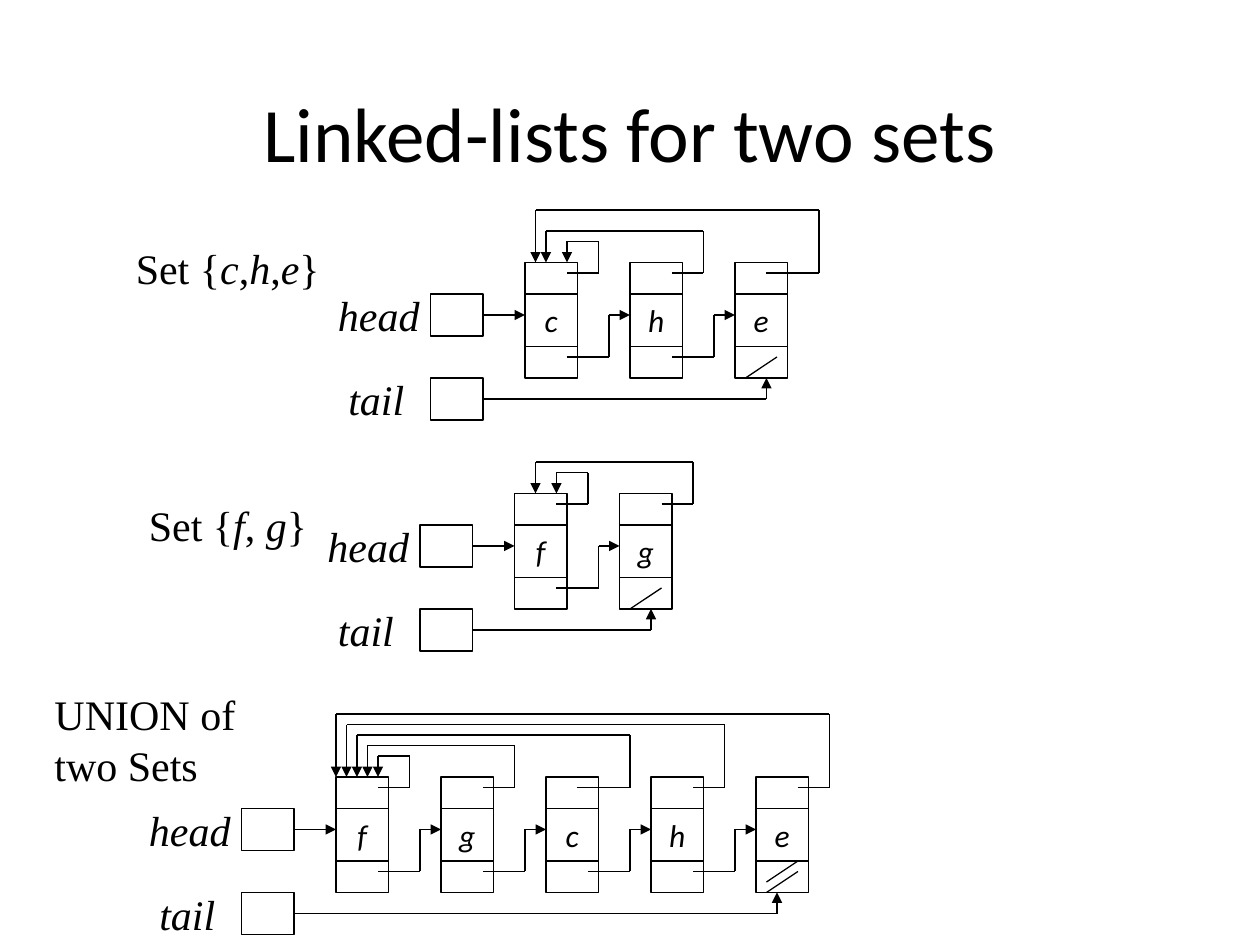
from itertools import pairwise
from pptx import Presentation
from pptx.dml.color import RGBColor
from pptx.enum.shapes import MSO_CONNECTOR as LINK, MSO_SHAPE as SHAPE
from pptx.enum.text import MSO_ANCHOR as ANCHOR, PP_ALIGN as ALIGN
from pptx.oxml.ns import qn
from pptx.util import Cm, Pt
from lxml.etree import SubElement as sub

BLACK = RGBColor(0, 0, 0)
SERIF, SANS = "Times New Roman", "Calibri"
UNIT = 2.54 / 12  # grid step in cm
WIDE, TALL, PITCH = 5, 11, 10  # node size and node spacing in grid steps

# Each list: left and top of its first node, tail arrow offset, slash heights,
# and per node: value, then start, right edge, rise and tip of its back link
LISTS = [
    (50, 25, 3, [11],
     [("c", 4, 7, 2, 4), ("h", 4, 7, 3, 2), ("e", 3, 8, 5, 1)]),
    (49, 47, 3, [11],
     [("f", 4, 7, 2, 4), ("g", 4, 7, 3, 2)]),
    (32, 74, 2, [10, 11],
     [("f", 4, 7, 2, 4), ("g", 4, 7, 3, 3), ("c", 3, 8, 4, 2),
      ("h", 4, 7, 5, 1), ("e", 4, 7, 6, 0)]),
]

# Labels: place, size, and lines whose runs alternate upright and italic
LABELS = [
    (11.75, 22.5, 20, 6, [["Set {", "c", ",", "h", ",", "e", "}"]]),
    (13, 47, 17.5, 6, [["Set {", "f", ", ", "g", "}"]]),
    (4, 65, 20.5, 11, [["UNION of"], ["two Sets"]]),
]


def grid(*steps):
    return [Cm(n * UNIT) for n in steps]


def style(para, size, face, slant=None):
    font = para.font
    font.size, font.name, font.italic = Pt(size), face, slant
    font.color.rgb = BLACK


def text(slide, x, y, w, h, lines, size=24, face=SERIF, wrap=False):
    frame = slide.shapes.add_textbox(*grid(x, y, w, h)).text_frame
    frame.word_wrap = wrap
    for i, line in enumerate(lines):
        para = frame.add_paragraph() if i else frame.paragraphs[0]
        style(para, size, face)
        for j, part in enumerate(line):
            run = para.add_run()
            run.text = part
            if j % 2:
                run.font.italic = True
    return frame


def word(slide, x, y, w, name):
    frame = text(slide, x, y, w, 6, [[name]])
    frame.paragraphs[0].font.italic = True


def box(slide, x, y, w, h, value=""):
    rect = slide.shapes.add_shape(SHAPE.RECTANGLE, *grid(x, y, w, h))
    rect.shadow.inherit = False
    rect.fill.background()
    rect.line.color.rgb = BLACK
    rect.line.width = Pt(0.75)
    if value:
        frame = rect.text_frame
        frame.word_wrap = False
        frame.vertical_anchor = ANCHOR.MIDDLE
        para = frame.paragraphs[0]
        para.text = value
        para.alignment = ALIGN.CENTER
        style(para, 18, SANS, True)


def wire(slide, *points, arrow=False):
    """Join the points with straight lines, the last one with an arrowhead."""
    for start, end in pairwise(points):
        line = slide.shapes.add_connector(
            LINK.STRAIGHT, *grid(*start, *end))
        line.line.color.rgb = BLACK
        line.line.width = Pt(0.75)
        props = line._element.spPr
        if arrow and end == points[-1]:
            sub(props.find(qn("a:ln")), qn("a:tailEnd"), type="triangle")
        sub(props, qn("a:effectLst"))


def node(slide, x, y, value):
    box(slide, x, y, WIDE, TALL, value)
    for row in (3, 8):
        wire(slide, (x, y + row), (x + WIDE, y + row))


def chain(slide, left, top, hit, cuts, nodes):
    last = left + PITCH * (len(nodes) - 1)

    # Head and tail pointers
    for name, dx, dy, w in (("head", 19, 2, 10.2), ("tail", 18, 10, 7.7)):
        word(slide, left - dx, top + dy, w, name)
        box(slide, left - 9, top + dy + 1, WIDE, 4)
    wire(slide, (left - 4, top + 5), (left, top + 5), arrow=True)
    wire(slide, (left - 4, top + 13), (last + hit, top + 13),
         (last + hit, top + TALL), arrow=True)

    # Nodes with their back links and next links
    for i, (value, start, right, rise, tip) in enumerate(nodes):
        x = left + PITCH * i
        node(slide, x, top, value)
        wire(slide, (x + start, top + 1), (x + right, top + 1),
             (x + right, top - rise), (left + tip, top - rise),
             (left + tip, top), arrow=True)
        if x < last:
            wire(slide, (x + 4, top + 9), (x + 8, top + 9),
                 (x + 8, top + 5), (x + PITCH, top + 5), arrow=True)

    # Slashes for the empty link
    for cut in cuts:
        wire(slide, (last + 1, top + cut), (last + 4, top + cut - 2))


def main():
    deck = Presentation()
    deck.slide_width, deck.slide_height = Cm(25.4), Cm(19.05)
    slide = deck.slides.add_slide(deck.slide_layouts[6])

    # Title
    title = text(slide, 9, 5, 102, 15, [["Linked-lists for two sets"]],
                 44, SANS, True)
    title.vertical_anchor = ANCHOR.MIDDLE
    title.paragraphs[0].alignment = ALIGN.CENTER

    # Labels and lists
    for label in LABELS:
        text(slide, *label)
    for item in LISTS:
        chain(slide, *item)

    deck.save("out.pptx")


main()
